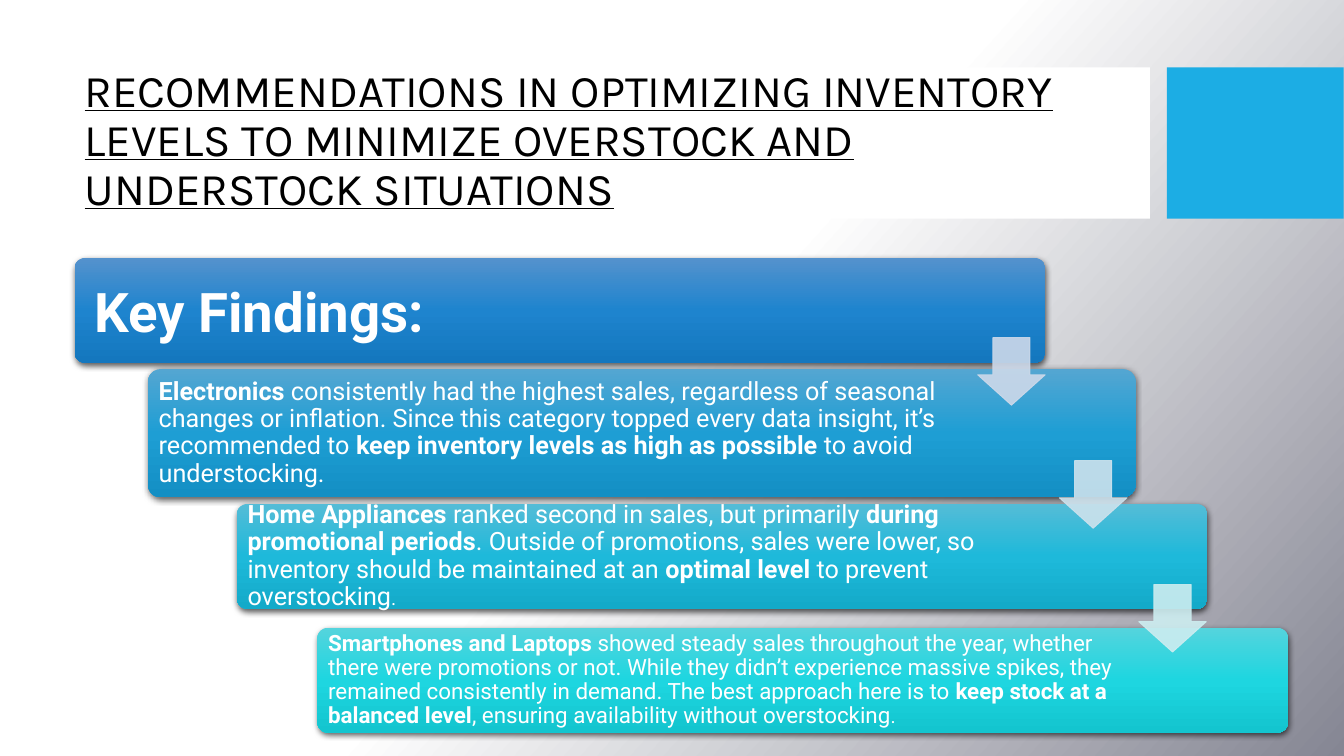
from copy import deepcopy
from dataclasses import dataclass

from lxml.etree import SubElement
from pptx import Presentation
from pptx.dml.color import RGBColor
from pptx.enum.shapes import MSO_SHAPE
from pptx.enum.text import MSO_ANCHOR, MSO_AUTO_SIZE, PP_ALIGN
from pptx.oxml.ns import qn
from pptx.util import Cm, Pt

WHITE = RGBColor(0xFF, 0xFF, 0xFF)
BLACK = RGBColor(0x00, 0x00, 0x00)
ACCENT = RGBColor(0x1C, 0xAD, 0xE4)
GREY = RGBColor(0x85, 0x86, 0x93)
TITLE_FONT = "Karla"
BODY_FONT = "Roboto"
TEXT_OFFSET = 0.09
ARROW_SIZE = 1.7
ARROW_OPACITY = 90


@dataclass(frozen=True)
class Span:
    text: str
    bold: bool = False
    size: float | None = None


@dataclass(frozen=True)
class Card:
    left: float
    top: float
    width: float
    height: float
    text_width: float
    colors: tuple[RGBColor, RGBColor, RGBColor]
    size: float
    spans: tuple[Span, ...]
    inset: float = 0.18
    line_spacing: float | None = 0.9


@dataclass(frozen=True)
class Arrow:
    left: float
    top: float
    color: RGBColor


CARDS = (
    Card(1.88, 6.5, 24.46, 2.64, 21.39,
         (RGBColor(0x54, 0x92, 0xCD), RGBColor(0x1E, 0x84, 0xCE), RGBColor(0x14, 0x77, 0xBE)),
         39, (Span("Key Findings:", True),), inset=0.41, line_spacing=None),
    Card(3.73, 9.3, 24.89, 3.23, 20.88,
         (RGBColor(0x54, 0xA6, 0xD2), RGBColor(0x1E, 0x9E, 0xD4), RGBColor(0x13, 0x8F, 0xC4)),
         18, (
             Span("Electronics", True),
             Span(" consistently had the highest sales, regardless of seasonal changes or "
                  "inflation. Since this category topped every data insight, it’s recommended to "),
             Span("keep inventory levels as high as possible", True),
             Span(" to avoid understocking."),
         )),
    Card(5.97, 12.7, 24.46, 2.64, 20.57,
         (RGBColor(0x54, 0xBC, 0xD7), RGBColor(0x1E, 0xB9, 0xDA), RGBColor(0x13, 0xAA, 0xC9)),
         18, (
             Span("Home Appliances", True),
             Span(" ranked second in sales, but primarily "),
             Span("during promotional periods", True),
             Span(". Outside of promotions, sales were lower, so inventory should be "
                  "maintained at an "),
             Span("optimal level", True),
             Span(" to prevent overstocking"),
             Span(".", size=14),
         )),
    Card(8.0, 15.82, 24.46, 2.64, 20.55,
         (RGBColor(0x54, 0xD4, 0xDD), RGBColor(0x1E, 0xD6, 0xE0), RGBColor(0x13, 0xC5, 0xCF)),
         16, (
             Span("Smartphones and Laptops", True),
             Span(" showed steady sales throughout the year, whether there were promotions or "
                  "not. While they didn’t experience massive spikes, they remained consistently "
                  "in demand. The best approach here is to "),
             Span("keep stock at a balanced level", True),
             Span(", ensuring availability without overstocking"),
             Span(".", size=14),
         )),
)
ARROWS = (
    Arrow(24.64, 8.51, RGBColor(0xCD, 0xD9, 0xEA)),
    Arrow(26.7, 11.61, RGBColor(0xCD, 0xE2, 0xED)),
    Arrow(28.7, 14.73, RGBColor(0xCD, 0xED, 0xF0)),
)


def set_gradient(owner, fill, colors: tuple[RGBColor, ...], angle: float) -> None:
    """Fill with three evenly placed stops; the angle runs clockwise."""
    fill.gradient()
    fill.gradient_angle = 360 - angle
    stop_list = owner.find(".//" + qn("a:gsLst"))
    stop_list.append(deepcopy(stop_list[-1]))
    for index, (stop, color) in enumerate(zip(fill.gradient_stops, colors)):
        stop.position = index / 2
        stop.color.rgb = color


def set_opacity(color_element, percent: int) -> None:
    SubElement(color_element, qn("a:alpha"), val=str(percent * 1000))


def add_shadow(shape) -> None:
    effects = shape._element.spPr.find(qn("a:effectLst"))
    shadow = SubElement(effects, qn("a:outerShdw"), blurRad=str(Pt(4.5)), dist=str(Pt(1.5)),
                        dir="5400000", algn="ctr", rotWithShape="0")
    set_opacity(SubElement(shadow, qn("a:srgbClr"), val=str(BLACK)), 63)


def add_band(slide, left: float, width: float, color: RGBColor) -> None:
    band = slide.shapes.add_shape(MSO_SHAPE.RECTANGLE, Cm(left), Cm(1.7), Cm(width), Cm(3.81))
    band.shadow.inherit = False
    band.fill.solid()
    band.fill.fore_color.rgb = color
    band.line.fill.background()


def format_title(slide) -> None:
    title = slide.shapes.title
    slide.shapes._spTree.append(title._element)
    title.left, title.top, title.width, title.height = Cm(1.88), Cm(2.08), Cm(26.7), Cm(3)
    frame = title.text_frame
    frame.text = ("RECOMMENDATIONS IN OPTIMIZING INVENTORY LEVELS TO MINIMIZE "
                  "OVERSTOCK AND UNDERSTOCK SITUATIONS")
    frame.auto_size = MSO_AUTO_SIZE.NONE
    frame.vertical_anchor = MSO_ANCHOR.MIDDLE
    para = frame.paragraphs[0]
    para.alignment = PP_ALIGN.LEFT
    para.line_spacing = 0.9
    font = para.runs[0].font
    font.name, font.size, font.underline = TITLE_FONT, Pt(32.4), True
    font.color.rgb = BLACK


def add_card(slide, card: Card) -> None:
    panel = slide.shapes.add_shape(MSO_SHAPE.ROUNDED_RECTANGLE, Cm(card.left), Cm(card.top),
                                   Cm(card.width), Cm(card.height))
    panel.adjustments[0] = 0.1
    panel.shadow.inherit = False
    add_shadow(panel)
    set_gradient(panel._element, panel.fill, card.colors, 90)
    panel.line.fill.background()

    box = slide.shapes.add_textbox(Cm(card.left + TEXT_OFFSET), Cm(card.top + TEXT_OFFSET),
                                   Cm(card.text_width), Cm(card.height - 2 * TEXT_OFFSET))
    frame = box.text_frame
    frame.word_wrap = True
    frame.vertical_anchor = MSO_ANCHOR.MIDDLE
    frame.margin_left = frame.margin_right = Cm(card.inset)
    frame.margin_top = frame.margin_bottom = Cm(card.inset)
    para = frame.paragraphs[0]
    para.line_spacing = card.line_spacing
    for span in card.spans:
        run = para.add_run()
        run.text = span.text
        run.font.name = BODY_FONT
        run.font.size = Pt(span.size or card.size)
        run.font.bold = span.bold
        run.font.color.rgb = WHITE


def add_arrow(slide, arrow: Arrow) -> None:
    shape = slide.shapes.add_shape(MSO_SHAPE.DOWN_ARROW, Cm(arrow.left), Cm(arrow.top),
                                   Cm(ARROW_SIZE), Cm(ARROW_SIZE))
    shape.adjustments[0], shape.adjustments[1] = 0.55, 0.45
    shape.shadow.inherit = False
    shape.line.width = Pt(0.75)
    for fill in (shape.fill, shape.line.fill):
        fill.solid()
        fill.fore_color.rgb = arrow.color
    for color_element in shape._element.spPr.iter(qn("a:srgbClr")):
        set_opacity(color_element, ARROW_OPACITY)


def main() -> None:
    deck = Presentation()
    deck.slide_width, deck.slide_height = Cm(33.87), Cm(19.05)
    slide = deck.slides.add_slide(deck.slide_layouts.get_by_name("Title Only"))
    set_gradient(slide._element, slide.background.fill, (WHITE, WHITE, GREY), 42)
    add_band(slide, 0, 28.98, WHITE)
    add_band(slide, 29.41, 4.45, ACCENT)
    format_title(slide)
    for card in CARDS:
        add_card(slide, card)
    for arrow in ARROWS:
        add_arrow(slide, arrow)
    deck.save("out.pptx")


if __name__ == "__main__":
    main()
